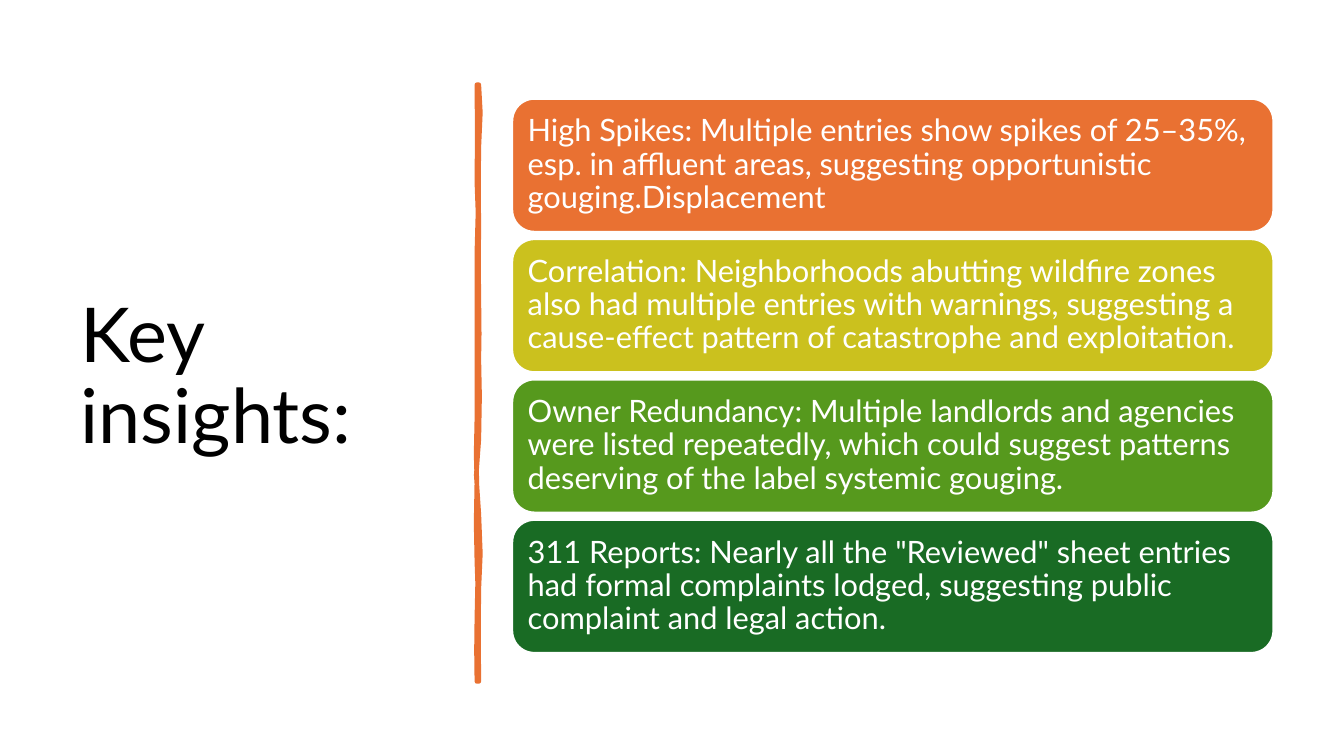
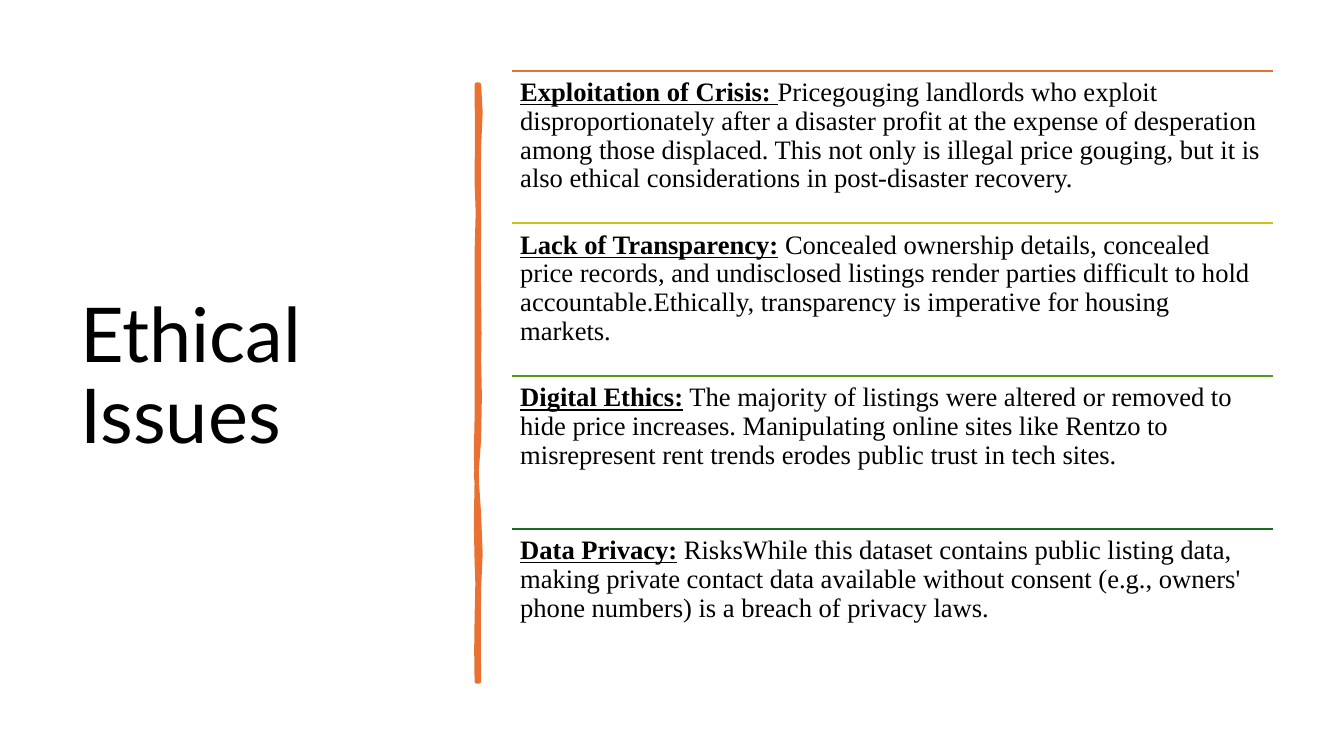
from typing import NamedTuple

from lxml.etree import SubElement
from pptx import Presentation
from pptx.dml.color import RGBColor
from pptx.enum.shapes import MSO_CONNECTOR, MSO_SHAPE
from pptx.enum.text import MSO_ANCHOR, PP_ALIGN
from pptx.oxml.ns import qn
from pptx.shapes.autoshape import Shape
from pptx.slide import Slide
from pptx.util import Inches, Pt

ORANGE, BLACK, WHITE = "E97132", "000000", "FFFFFF"
ROW_COLORS = (ORANGE, "CBC11E", "56991D", "196B24")
SANS, SERIF = "Lato", "Times New Roman"

CONTENT_LEFT, CONTENT_WIDTH = 5.08, 7.55
CARDS_TOP, CARDS_HEIGHT, CARD_HEIGHT = 0.98, 5.57, 1.32
ISSUES_TOP, ISSUES_HEIGHT = 0.7, 6.06

# Hand-drawn divider: start point, then cubic curves (control, control, end)
DIVIDER_START = (4.75, 0.84)
DIVIDER_CURVES = (
    ((4.77, 1.02), (4.77, 1.19), (4.75, 1.46)),
    ((4.73, 1.73), (4.76, 1.95), (4.75, 2.26)),
    ((4.74, 2.57), (4.75, 2.62), (4.75, 2.94)),
    ((4.74, 3.25), (4.77, 3.42), (4.75, 3.56)),
    ((4.73, 3.7), (4.79, 4.14), (4.75, 4.36)),
    ((4.71, 4.57), (4.72, 4.84), (4.75, 5.1)),
    ((4.77, 5.36), (4.77, 5.64), (4.75, 5.84)),
    ((4.73, 6.03), (4.76, 6.5), (4.75, 6.76)),
    ((4.74, 6.76), (4.73, 6.76), (4.73, 6.76)),
    ((4.74, 6.46), (4.71, 6.44), (4.73, 6.13)),
    ((4.74, 5.83), (4.74, 5.7), (4.73, 5.57)),
    ((4.72, 5.44), (4.72, 4.95), (4.73, 4.77)),
    ((4.73, 4.59), (4.71, 4.45), (4.73, 4.15)),
    ((4.74, 3.86), (4.72, 3.73), (4.73, 3.35)),
    ((4.74, 2.98), (4.72, 2.81), (4.73, 2.5)),
    ((4.74, 2.18), (4.75, 2.0), (4.73, 1.81)),
    ((4.7, 1.63), (4.77, 1.04), (4.73, 0.84)),
)
CURVE_STEPS = 2


class Run(NamedTuple):
    text: str
    heading: bool = False


class Issue(NamedTuple):
    heading: str
    body: str


INSIGHTS = (
    "High Spikes: Multiple entries show spikes of 25–35%, esp. in affluent areas, "
    "suggesting opportunistic gouging.Displacement",
    "Correlation: Neighborhoods abutting wildfire zones also had multiple entries with "
    "warnings, suggesting a cause-effect pattern of catastrophe and exploitation.",
    "Owner Redundancy: Multiple landlords and agencies were listed repeatedly, which "
    "could suggest patterns deserving of the label systemic gouging.",
    '311 Reports: Nearly all the "Reviewed" sheet entries had formal complaints lodged, '
    "suggesting public complaint and legal action.",
)

ISSUES = (
    Issue("Exploitation of Crisis: ",
          "Pricegouging landlords who exploit disproportionately after a disaster profit "
          "at the expense of desperation among those displaced. This not only is illegal "
          "price gouging, but it is also ethical considerations in post-disaster recovery."),
    Issue("Lack of Transparency:",
          " Concealed ownership details, concealed price records, and undisclosed listings "
          "render parties difficult to hold accountable.Ethically, transparency is "
          "imperative for housing markets."),
    Issue("Digital Ethics:",
          " The majority of listings were altered or removed to hide price increases. "
          "Manipulating online sites like Rentzo to misrepresent rent trends erodes public "
          "trust in tech sites."),
    Issue("Data Privacy:",
          " RisksWhile this dataset contains public listing data, making private contact "
          "data available without consent (e.g., owners' phone numbers) is a breach of "
          "privacy laws."),
)


def rgb(color: str) -> RGBColor:
    return RGBColor.from_string(color)


def write(shape: Shape, *runs: Run, size: float, font: str = SANS, color: str = BLACK,
          anchor: MSO_ANCHOR = MSO_ANCHOR.MIDDLE, inset: float = 0.09) -> None:
    """Fill a shape with one left-aligned paragraph; heading runs are bold and underlined."""
    frame = shape.text_frame
    frame.word_wrap = True
    frame.vertical_anchor = anchor
    frame.margin_left = frame.margin_right = Inches(inset)
    frame.margin_top = frame.margin_bottom = Inches(inset)
    paragraph = frame.paragraphs[0]
    paragraph.alignment = PP_ALIGN.LEFT
    paragraph.line_spacing = 0.9
    for item in runs:
        run = paragraph.add_run()
        run.text = item.text
        run.font.name = font
        run.font.size = Pt(size)
        run.font.color.rgb = rgb(color)
        run.font.bold = run.font.underline = item.heading


def paint(shape: Shape, fill: str, line: str, line_width: float) -> None:
    shape.shadow.inherit = False
    shape.fill.solid()
    shape.fill.fore_color.rgb = rgb(fill)
    shape.line.color.rgb = rgb(line)
    shape.line.width = Pt(line_width)


def add_text_box(slide: Slide, left: float, top: float, width: float, height: float) -> Shape:
    return slide.shapes.add_textbox(Inches(left), Inches(top), Inches(width), Inches(height))


def add_divider(slide: Slide) -> None:
    points = []
    start = DIVIDER_START
    for first, second, end in DIVIDER_CURVES:
        for step in range(1, CURVE_STEPS + 1):
            t = step / CURVE_STEPS
            weights = ((1 - t) ** 3, 3 * t * (1 - t) ** 2, 3 * t ** 2 * (1 - t), t ** 3)
            corners = (start, first, second, end)
            x, y = (sum(w * corner[axis] for w, corner in zip(weights, corners))
                    for axis in (0, 1))
            points.append((Inches(x), Inches(y)))
        start = end
    builder = slide.shapes.build_freeform(*map(Inches, DIVIDER_START))
    builder.add_line_segments(points, close=True)
    divider = builder.convert_to_shape()
    paint(divider, ORANGE, ORANGE, 3.25)
    SubElement(divider._element.spPr.find(qn("a:ln")), qn("a:round"))


def add_rule(slide: Slide, top: float, color: str) -> None:
    rule = slide.shapes.add_connector(
        MSO_CONNECTOR.STRAIGHT, Inches(CONTENT_LEFT), Inches(top),
        Inches(CONTENT_LEFT + CONTENT_WIDTH), Inches(top))
    rule.line.color.rgb = rgb(color)
    rule.line.width = Pt(1.5)
    SubElement(rule._element.spPr, qn("a:effectLst"))


def add_titled_slide(deck: Presentation, title: str) -> Slide:
    """Add a blank slide with the shared title and divider."""
    slide = deck.slides.add_slide(deck.slide_layouts[6])
    write(add_text_box(slide, 0.7, 0.7, 3.74, 6.11), Run(title), size=54, inset=0.1)
    add_divider(slide)
    return slide


def add_insights_slide(deck: Presentation) -> None:
    slide = add_titled_slide(deck, "Key insights:")
    pitch = CARDS_HEIGHT / len(INSIGHTS)
    for index, (insight, color) in enumerate(zip(INSIGHTS, ROW_COLORS)):
        card = slide.shapes.add_shape(
            MSO_SHAPE.ROUNDED_RECTANGLE, Inches(CONTENT_LEFT),
            Inches(CARDS_TOP + index * pitch), Inches(CONTENT_WIDTH), Inches(CARD_HEIGHT))
        paint(card, color, WHITE, 1.5)
        write(card, Run(insight), size=22, color=WHITE)


def add_issues_slide(deck: Presentation) -> None:
    slide = add_titled_slide(deck, "Ethical Issues")
    row_height = ISSUES_HEIGHT / len(ISSUES)
    for index, (issue, color) in enumerate(zip(ISSUES, ROW_COLORS)):
        top = ISSUES_TOP + index * row_height
        add_rule(slide, top, color)
        row = add_text_box(slide, CONTENT_LEFT, top, CONTENT_WIDTH, row_height)
        write(row, Run(issue.heading, heading=True), Run(issue.body), size=19,
              font=SERIF, anchor=MSO_ANCHOR.TOP, inset=0.08)


def main() -> None:
    deck = Presentation()
    deck.slide_width, deck.slide_height = Inches(13.33), Inches(7.5)
    add_insights_slide(deck)
    add_issues_slide(deck)
    deck.save("out.pptx")


if __name__ == "__main__":
    main()
